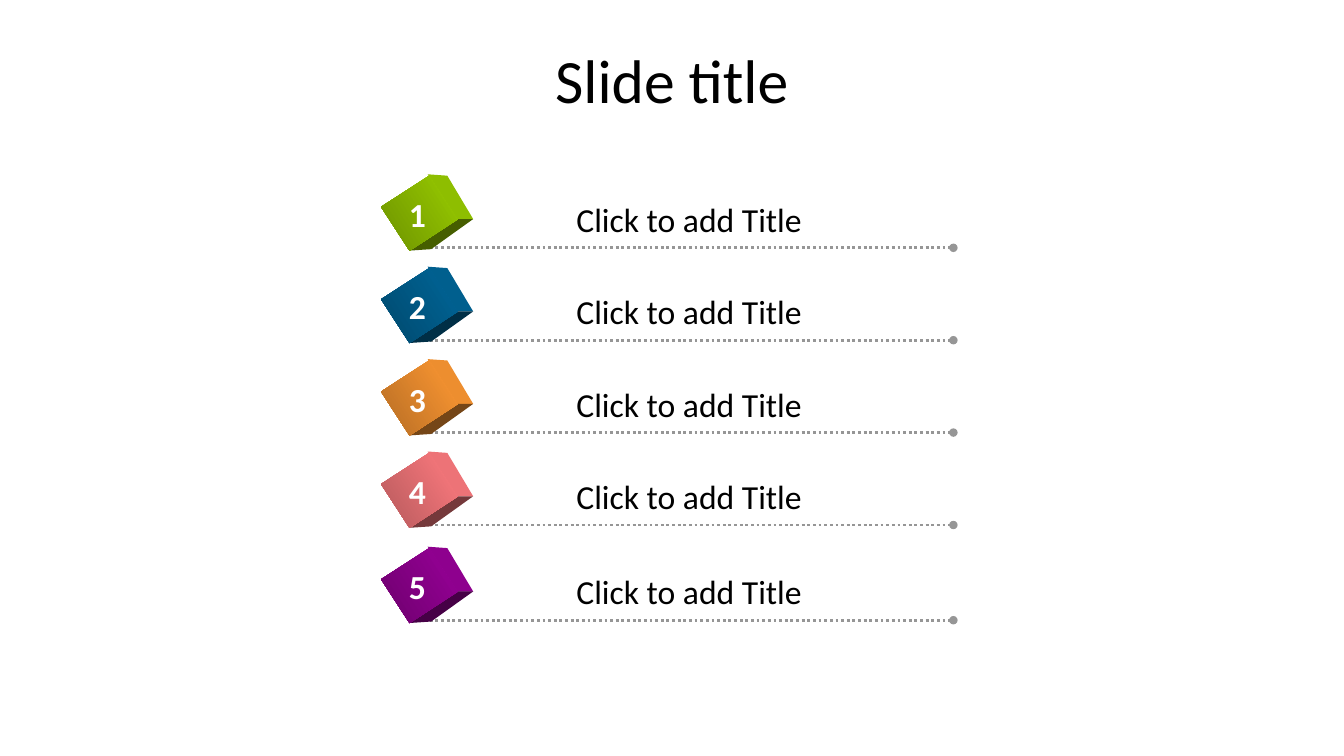
from lxml.etree import SubElement
from pptx import Presentation
from pptx.dml.color import RGBColor as RGB
from pptx.enum.dml import MSO_LINE
from pptx.enum.shapes import MSO_CONNECTOR as CONN, MSO_SHAPE as SHAPE
from pptx.enum.text import MSO_ANCHOR as ANCHOR, MSO_AUTO_SIZE as AUTO, PP_ALIGN as ALIGN
from pptx.oxml.ns import qn
from pptx.util import Pt

BLACK = RGB(0x00, 0x00, 0x00)
WHITE = RGB(0xFF, 0xFF, 0xFF)
GRAY = RGB(0x96, 0x96, 0x96)
GREEN, DARK_GREEN = RGB(0x99, 0xCC, 0x00), RGB(0x6D, 0x92, 0x00)
BLUE, DARK_BLUE = RGB(0x00, 0x66, 0x99), RGB(0x00, 0x49, 0x6D)
ORANGE, DARK_ORANGE = RGB(0xFF, 0x99, 0x33), RGB(0xB6, 0x6D, 0x24)
PINK, DARK_PINK = RGB(0xFF, 0x7C, 0x80), RGB(0xB6, 0x59, 0x5C)
PURPLE, DARK_PURPLE = RGB(0x99, 0x00, 0x99), RGB(0x6D, 0x00, 0x6D)

ROWS = [
    (123, GREEN, DARK_GREEN),
    (189, BLUE, DARK_BLUE),
    (255, ORANGE, DARK_ORANGE),
    (321, PINK, DARK_PINK),
    (389, PURPLE, DARK_PURPLE),
]
ROW_LEFT = 270
RIGHT_SIDE = [(35.5, 1.5), (49.5, 2.5), (68, 33.5), (55, 33.5)]
BOTTOM_SIDE = [(23, 56), (38, 55), (68, 33.5), (55, 33.5)]

TITLE_FONT = {"name": "Calibri", "size": Pt(44)}
LABEL_FONT = {"name": "Calibri", "size": Pt(24)}
NUMBER_FONT = {"name": "Calibri", "size": Pt(24), "bold": True}


def shade(color, factor):
    """Return the colour darkened by a factor."""
    return RGB(*(round(c * factor) for c in color))


def write(tf, text, font, color):
    """Put one formatted run into a text frame and return its paragraph."""
    p = tf.paragraphs[0]
    r = p.add_run()
    r.text = text
    for key, value in font.items():
        setattr(r.font, key, value)
    r.font.color.rgb = color
    return p


def add_title(s, x, y, w, h):
    """Place the slide title in its box."""
    title = s.shapes.title
    title.left, title.top, title.width, title.height = Pt(x), Pt(y), Pt(w), Pt(h)
    title.text_frame.vertical_anchor = ANCHOR.MIDDLE
    p = write(title.text_frame, "Slide title", TITLE_FONT, BLACK)
    p.alignment = ALIGN.CENTER
    p.line_spacing = 0.9


def add_rule(shapes, x1, x2, y):
    """Draw a dotted rule that ends in a dot."""
    rule = shapes.add_connector(CONN.STRAIGHT, Pt(x1), Pt(y), Pt(x2), Pt(y))
    rule.line.color.rgb = GRAY
    rule.line.width = Pt(2)
    rule.line.dash_style = MSO_LINE.ROUND_DOT
    SubElement(rule.line._get_or_add_ln(), qn("a:tailEnd"), type="oval")
    SubElement(rule._element.spPr, qn("a:effectLst"))


def add_side(shapes, x, y, corners, color):
    """Draw one side face of a cube."""
    points = [(Pt(x + dx), Pt(y + dy)) for dx, dy in corners]
    builder = shapes.build_freeform(*points[0])
    builder.add_line_segments(points[1:], close=True)
    sp = builder.convert_to_shape()
    sp.shadow.inherit = False
    sp.fill.solid()
    sp.fill.fore_color.rgb = color
    sp.line.fill.background()


def add_cube(shapes, x, y, color, dark):
    """Draw a tilted cube from two sides and a gradient front."""
    add_side(shapes, x, y, RIGHT_SIDE, shade(color, 0.93))
    add_side(shapes, x, y, BOTTOM_SIDE, shade(color, 0.46))
    sp = shapes.add_shape(SHAPE.RECTANGLE, Pt(x + 10.8), Pt(y + 8.8), Pt(37.4), Pt(41))
    sp.rotation = 57
    sp.shadow.inherit = False
    sp.line.fill.background()
    sp.fill.gradient()
    sp.fill.gradient_angle = 270
    for stop, rgb in zip(sp.fill.gradient_stops, (color, dark)):
        stop.color.rgb = rgb


def add_text(shapes, x, y, w, h, text, font, color):
    """Add a one-line text box that fits its text."""
    tf = shapes.add_textbox(Pt(x), Pt(y), Pt(w), Pt(h)).text_frame
    tf.word_wrap = False
    tf.auto_size = AUTO.SHAPE_TO_FIT_TEXT
    write(tf, text, font, color)


def add_row(s, x, y, number, color, dark):
    """Build one numbered agenda row from its top left corner."""
    shapes = s.shapes.add_group_shape().shapes
    add_rule(shapes, x + 33, x + 411, y + 54)
    add_cube(shapes, x, y, color, dark)
    add_text(shapes, x + 134.6, y + 15.4, 192, 36, "Click to add Title", LABEL_FONT, BLACK)
    add_text(shapes, x + 15, y + 11.8, 28, 36, str(number), NUMBER_FONT, WHITE)


def main():
    """Build and save the slide."""
    prs = Presentation()
    prs.slide_width, prs.slide_height = Pt(960), Pt(540)
    s = prs.slides.add_slide(prs.slide_layouts[5])
    add_title(s, 66, 28.8, 828, 62)
    for number, (top, color, dark) in enumerate(ROWS, 1):
        add_row(s, ROW_LEFT, top, number, color, dark)
    prs.save("out.pptx")


if __name__ == "__main__":
    main()
